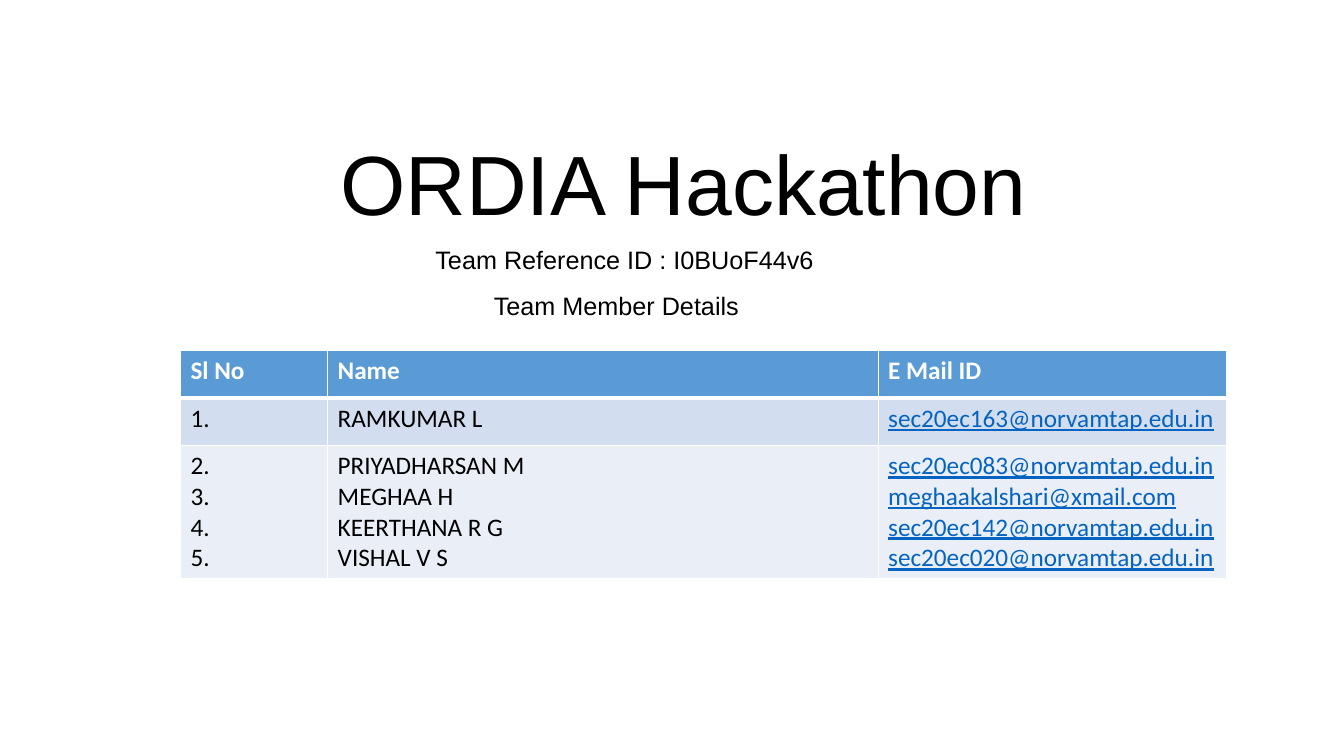
from lxml.etree import SubElement
from pptx import Presentation
from pptx.dml.color import RGBColor as RGB
from pptx.enum.text import MSO_ANCHOR as Anchor, MSO_AUTO_SIZE as Fit, PP_ALIGN as Align
from pptx.oxml.ns import qn
from pptx.util import Inches, Pt

WIDE, HIGH = Inches(13.33), Inches(7.5)
BLACK = RGB(0, 0, 0)
WHITE = RGB(255, 255, 255)
BLUE = RGB(0x5B, 0x9B, 0xD5)
PALE = RGB(0xD2, 0xDE, 0xEF)
FAINT = RGB(0xEA, 0xEF, 0xF7)
LINK = RGB(0x05, 0x63, 0xC1)

HEAD = {"name": "Arial", "size": Pt(60), "bold": False}
NOTE = {"name": "Arial", "size": Pt(18)}
CELL = {"name": "Calibri", "size": Pt(18), "bold": False}
BOLD = {**CELL, "bold": True}
MAIL = {**CELL, "underline": True}

COLS = [10.95, 40.96, 25.96]
ROWS = [6.27, 6.27, 17.2]
FILLS = [BLUE, PALE, FAINT]
TEAM = [
    [["Sl No"], ["Name"], ["E Mail ID"]],
    [["1."], ["RAMKUMAR L"], ["sec20ec163@norvamtap.edu.in"]],
    [
        ["2.", "3.", "4.", "5."],
        ["PRIYADHARSAN M", "MEGHAA H", "KEERTHANA R G", "VISHAL V S"],
        [
            "sec20ec083@norvamtap.edu.in",
            "meghaakalshari@xmail.com",
            "sec20ec142@norvamtap.edu.in",
            "sec20ec020@norvamtap.edu.in",
        ],
    ],
]


def across(share):
    return round(WIDE * share / 100)


def down(share):
    return round(HIGH * share / 100)


def area(left, top, width, height):
    return across(left), down(top), across(width), down(height)


def write(frame, lines, style, color):
    for i, line in enumerate(lines):
        para = frame.paragraphs[0] if i == 0 else frame.add_paragraph()
        run = para.add_run()
        run.text = line
        for key, value in style.items():
            setattr(run.font, key, value)
        run.font.color.rgb = color


def title(slide, text, place):
    shape = slide.shapes.title
    for key, value in zip(("left", "top", "width", "height"), area(*place)):
        setattr(shape, key, value)
    frame = shape.text_frame
    for key, value in {"word_wrap": True, "auto_size": Fit.NONE,
                       "vertical_anchor": Anchor.BOTTOM}.items():
        setattr(frame, key, value)
    write(frame, [text], HEAD, BLACK)
    para = frame.paragraphs[0]
    para.alignment = Align.CENTER
    para.line_spacing = 0.9


def label(slide, text, place):
    frame = slide.shapes.add_textbox(*area(*place)).text_frame
    frame.word_wrap = True
    frame.auto_size = Fit.SHAPE_TO_FIT_TEXT
    write(frame, [text], NOTE, BLACK)


def border(cell, sides):
    props = cell._tc.get_or_add_tcPr()
    for side, width in sides.items():
        line = SubElement(props, qn(f"a:{side}"), w=str(Pt(width)))
        fill = SubElement(line, qn("a:solidFill"))
        SubElement(fill, qn("a:srgbClr"), val=str(WHITE))


def roster(slide, left, top):
    place = area(left, top, sum(COLS), sum(ROWS))
    table = slide.shapes.add_table(len(ROWS), len(COLS), *place).table
    for col, share in zip(table.columns, COLS):
        col.width = across(share)
    for r, share in enumerate(ROWS):
        table.rows[r].height = down(share)
        for c, lines in enumerate(TEAM[r]):
            cell = table.cell(r, c)
            border(cell, {"lnL": 1, "lnR": 1, "lnT": 3 if r == 1 else 1,
                          "lnB": 3 if r == 0 else 1})
            cell.fill.solid()
            cell.fill.fore_color.rgb = FILLS[r]
            if r == 0:
                style, color = BOLD, WHITE
            elif c == 2:
                style, color = MAIL, LINK
            else:
                style, color = CELL, BLACK
            write(cell.text_frame, lines, style, color)


def main():
    deck = Presentation()
    deck.slide_width, deck.slide_height = WIDE, HIGH
    slide = deck.slides.add_slide(deck.slide_layouts[5])
    title(slide, "ORDIA Hackathon", (13.35, 16.8, 75, 14.8))
    roster(slide, 13.43, 46.4)
    label(slide, "Team Reference ID : I0BUoF44v6", (31.66, 31.6, 43.8, 5.33))
    label(slide, "Team Member Details", (36, 37.73, 19.95, 5.33))
    deck.save("out.pptx")


if __name__ == "__main__":
    main()
